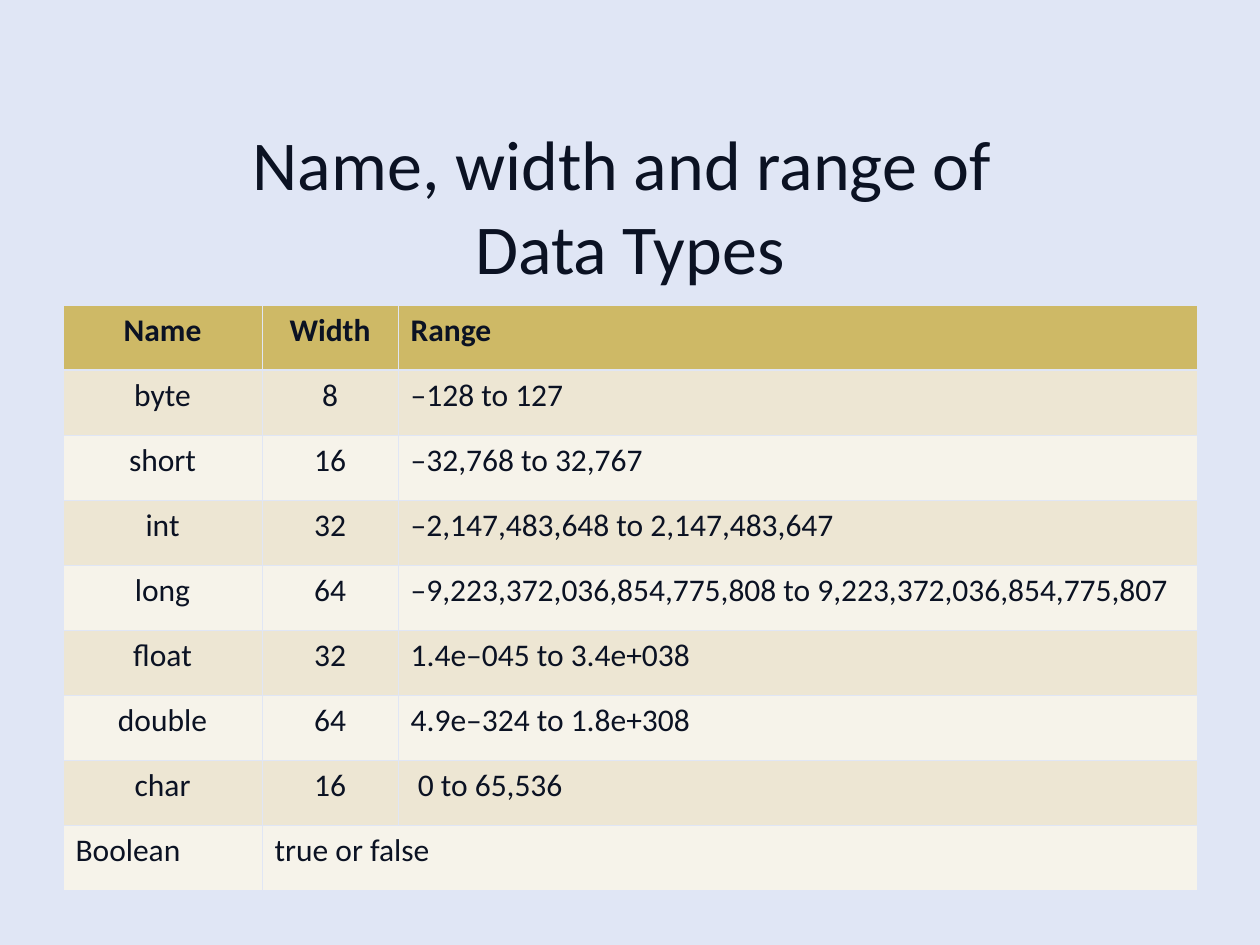
from typing import NamedTuple

from lxml.etree import SubElement
from pptx import Presentation
from pptx.dml.color import RGBColor
from pptx.enum.text import MSO_ANCHOR, PP_ALIGN as Align
from pptx.oxml.ns import qn
from pptx.util import Inches, Pt

BACKGROUND = RGBColor(0xE0, 0xE6, 0xF5)
INK = RGBColor(0x0B, 0x12, 0x23)
HEADER_FILL = RGBColor(0xCE, 0xB9, 0x66)
BAND_FILLS = (RGBColor(0xED, 0xE6, 0xD3), RGBColor(0xF6, 0xF3, 0xEA))

THIN, THICK = Pt(0.45), Pt(1.47)
COLUMN_WIDTHS = (1.58, 1.08, 6.34)
TABLE_HEIGHT = 4.65


class DataType(NamedTuple):
    name: str
    width: str
    range: str


HEADER = DataType("Name", "Width", "Range")
DATA_TYPES = (
    DataType("byte", "8", "–128 to 127"),
    DataType("short", "16", "–32,768 to 32,767"),
    DataType("int", "32", "–2,147,483,648 to 2,147,483,647"),
    DataType("long", "64", "–9,223,372,036,854,775,808 to 9,223,372,036,854,775,807"),
    DataType("float", "32", "1.4e–045 to 3.4e+038"),
    DataType("double", "64", "4.9e–324 to 1.8e+308"),
    DataType("char", "16", " 0 to 65,536"),
    DataType("Boolean", "true or false", ""),
)


def write_text(frame, text: str, size: float, align: Align, bold: bool = False) -> None:
    frame.text = text
    paragraph = frame.paragraphs[0]
    paragraph.alignment = align
    text_format = {"name": "Calibri", "size": Pt(size), "bold": bold}
    for run in paragraph.runs:
        for attribute, value in text_format.items():
            setattr(run.font, attribute, value)
        run.font.color.rgb = INK


def draw_borders(cell, top: int, bottom: int) -> None:
    properties = cell._tc.get_or_add_tcPr()
    for side, width in {"L": THIN, "R": THIN, "T": top, "B": bottom}.items():
        line = SubElement(properties, qn(f"a:ln{side}"), w=str(int(width)))
        fill = SubElement(line, qn("a:solidFill"))
        SubElement(fill, qn("a:srgbClr"), val=str(BACKGROUND))


def add_title(slide) -> None:
    box = slide.shapes.add_textbox(Inches(0.5), Inches(1), Inches(9), Inches(1.25))
    frame = box.text_frame
    frame.word_wrap = True
    frame.vertical_anchor = MSO_ANCHOR.MIDDLE
    write_text(frame, "Name, width and range of \vData Types", 40, Align.CENTER)


def add_type_table(slide) -> None:
    rows = (HEADER, *DATA_TYPES)
    table = slide.shapes.add_table(
        len(rows), len(COLUMN_WIDTHS), Inches(0.5), Inches(2.42),
        Inches(sum(COLUMN_WIDTHS)), Inches(TABLE_HEIGHT),
    ).table
    for column, width in zip(table.columns, COLUMN_WIDTHS):
        column.width = Inches(width)

    last = len(rows) - 1
    for row_index, data_type in enumerate(rows):
        is_header = row_index == 0
        for column_index, text in enumerate(data_type):
            cell = table.cell(row_index, column_index)
            draw_borders(
                cell,
                top=THICK if row_index == 1 else THIN,
                bottom=THICK if is_header else THIN,
            )
            cell.fill.solid()
            cell.fill.fore_color.rgb = (
                HEADER_FILL if is_header else BAND_FILLS[(row_index - 1) % 2]
            )
            centred = column_index < 2 and row_index < last
            align = Align.CENTER if centred else Align.LEFT
            write_text(cell.text_frame, text, 18, align, is_header)

    # The last type has one value across width and range
    table.cell(last, 1).merge(table.cell(last, 2))


def main() -> None:
    presentation = Presentation()
    presentation.slide_width, presentation.slide_height = Inches(10), Inches(7.5)
    slide = presentation.slides.add_slide(presentation.slide_layouts[6])
    slide.background.fill.solid()
    slide.background.fill.fore_color.rgb = BACKGROUND
    add_title(slide)
    add_type_table(slide)
    presentation.save("out.pptx")


if __name__ == "__main__":
    main()
